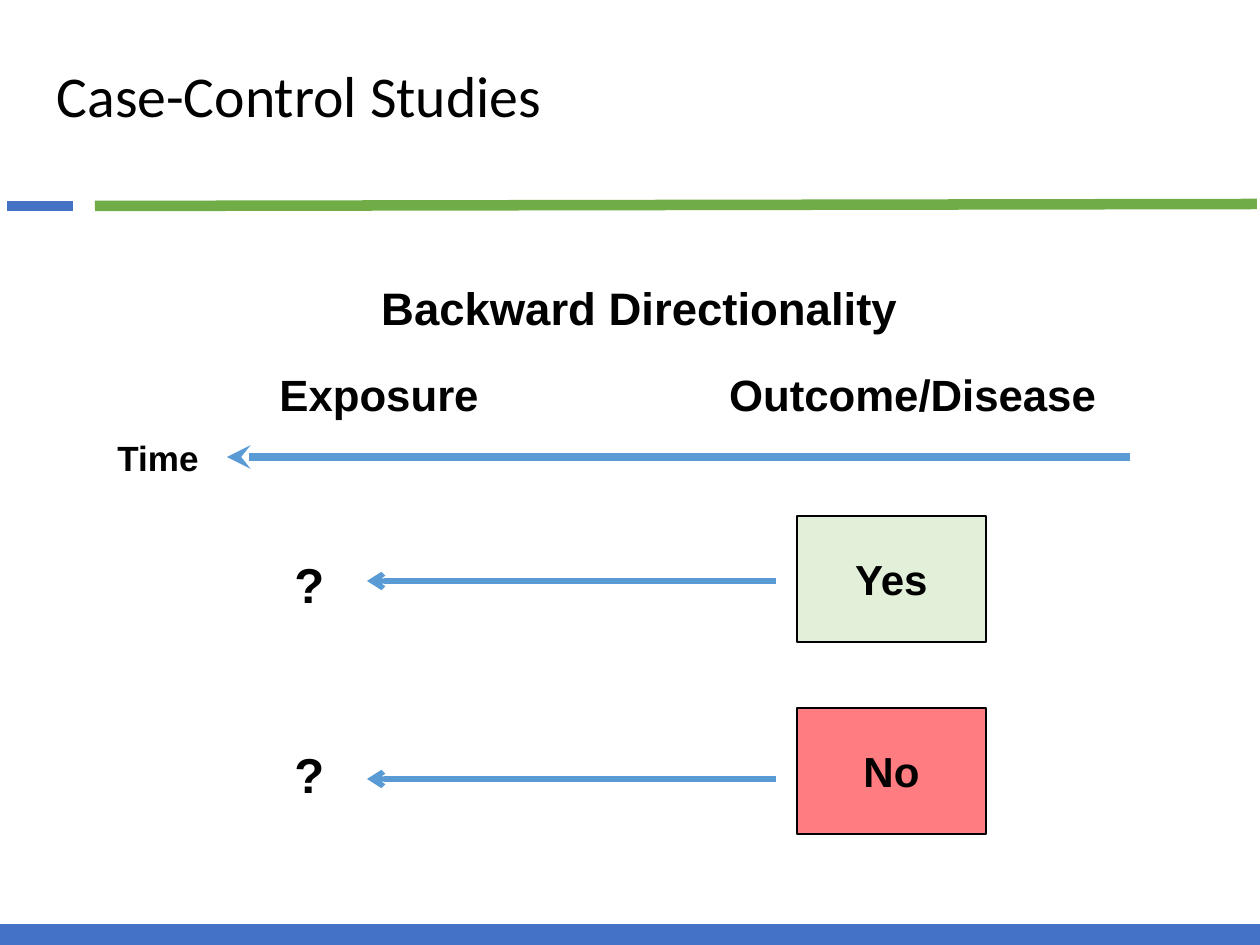
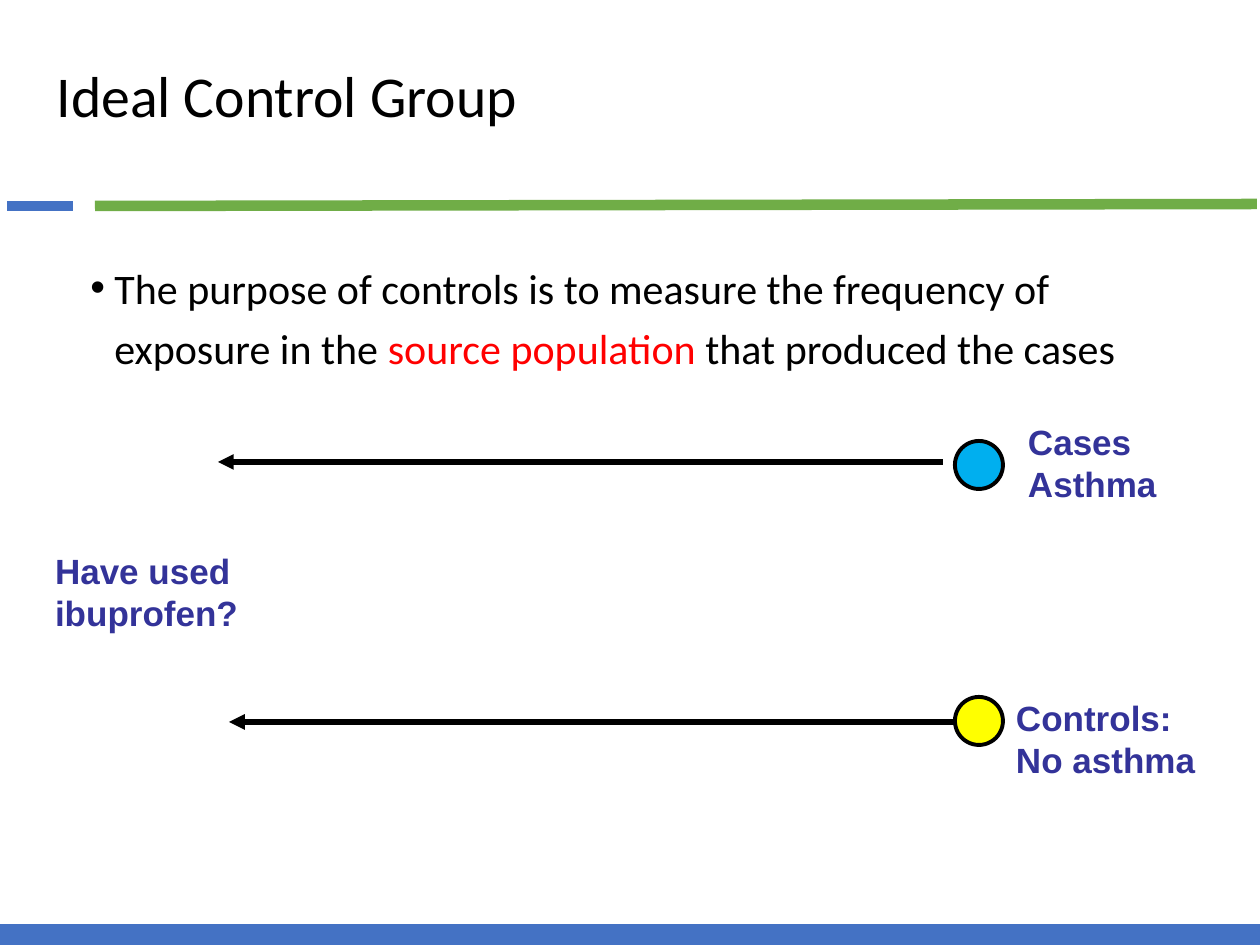
from lxml import etree
from pptx import Presentation
from pptx.dml.color import RGBColor
from pptx.enum.shapes import MSO_CONNECTOR, MSO_SHAPE
from pptx.enum.text import MSO_ANCHOR, MSO_AUTO_SIZE, PP_ALIGN
from pptx.oxml.ns import qn
from pptx.util import Pt

PX = 7257  # EMU in one px, 126 px to the inch
BLACK = RGBColor(0x00, 0x00, 0x00)
RED = RGBColor(0xFF, 0x00, 0x00)
GREEN = RGBColor(0x70, 0xAD, 0x47)
BLUE = RGBColor(0x44, 0x72, 0xC4)
ARROW_BLUE = RGBColor(0x5B, 0x9B, 0xD5)
LABEL_BLUE = RGBColor(0x33, 0x33, 0x99)
CASE_BLUE = RGBColor(0x00, 0xAF, 0xEF)
CONTROL_YELLOW = RGBColor(0xFF, 0xFF, 0x00)
YES_GREEN = RGBColor(0xE2, 0xF0, 0xD9)
NO_RED = RGBColor(0xFF, 0x7C, 0x80)
STRAIGHT = MSO_CONNECTOR.STRAIGHT
RECTANGLE, OVAL = MSO_SHAPE.RECTANGLE, MSO_SHAPE.OVAL
TOP, MIDDLE = MSO_ANCHOR.TOP, MSO_ANCHOR.MIDDLE
LEFT, CENTER = PP_ALIGN.LEFT, PP_ALIGN.CENTER
NO_AUTOFIT = MSO_AUTO_SIZE.NONE


def add_line(slide, ends, color, width, head=None):
    line = slide.shapes.add_connector(STRAIGHT, *[value * PX for value in ends])
    line.line.color.rgb = color
    line.line.width = Pt(width)
    properties = line._element.spPr
    if head:
        etree.SubElement(properties.find(qn("a:ln")), qn("a:tailEnd"), type=head)
    etree.SubElement(properties, qn("a:effectLst"))


def write_text(shape, paragraphs, size, color=BLACK, font="Arial", bold=True,
               align=LEFT, anchor=TOP, inset=None):
    """Each paragraph is a list of (text, color) runs; color None means the default."""
    frame = shape.text_frame
    frame.word_wrap = True
    frame.auto_size = NO_AUTOFIT
    frame.vertical_anchor = anchor
    if inset is not None:
        frame.margin_left = frame.margin_right = inset * PX
        frame.margin_top = frame.margin_bottom = inset * PX
    for index, runs in enumerate(paragraphs):
        paragraph = frame.add_paragraph() if index else frame.paragraphs[0]
        paragraph.alignment = align
        for text, run_color in runs:
            run = paragraph.add_run()
            run.text = text
            run.font.name = font
            run.font.size = Pt(size)
            run.font.bold = bold
            run.font.color.rgb = run_color or color


presentation = Presentation()
presentation.slide_width = 1260 * PX
presentation.slide_height = 945 * PX

# Shared title and coloured bands
slides = []
for title_text in ("Case-Control Studies", "Ideal Control Group"):
    slide = presentation.slides.add_slide(presentation.slide_layouts[5])
    add_line(slide, (1257, 204, 95, 206), GREEN, 6)
    add_line(slide, (73, 206, 7, 206), BLUE, 6)
    add_line(slide, (1260, 935, 0, 935), BLUE, 12)
    title = slide.shapes.title
    title.left, title.top, title.width, title.height = [
        value * PX for value in (44, 28, 1203, 141)]
    write_text(title, [[(title_text, None)]], 33, font="Calibri", bold=False,
               anchor=MIDDLE)
    title.text_frame.paragraphs[0].line_spacing = 0.9
    slides.append(slide)
directionality_slide, control_slide = slides

# Slide 1: headings and labels
for text, box, size, align, anchor in (
        ("Backward Directionality", (251, 265, 777, 84), 26, CENTER, MIDDLE),
        ("Exposure", (234, 362, 290, 66), 25, CENTER, TOP),
        ("Outcome/Disease", (692, 362, 441, 66), 25, CENTER, TOP),
        ("Time", (105, 430, 179, 54), 20, LEFT, TOP),
        ("?", (282, 548, 95, 72), 28, LEFT, TOP),
        ("?", (282, 738, 95, 72), 28, LEFT, TOP)):
    label = directionality_slide.shapes.add_textbox(*[value * PX for value in box])
    write_text(label, [[(text, None)]], size, align=align, anchor=anchor)

# Slide 1: time axis, then an outcome box and arrow in each row
add_line(directionality_slide, (1130, 457, 227, 457), ARROW_BLUE, 4.5, "stealth")
for answer, fill, box_top, arrow_y in (("Yes", YES_GREEN, 516, 581),
                                       ("No", NO_RED, 708, 779)):
    outcome = directionality_slide.shapes.add_shape(
        RECTANGLE, *[value * PX for value in (797, box_top, 189, 126)])
    outcome.shadow.inherit = False
    outcome.fill.solid()
    outcome.fill.fore_color.rgb = fill
    outcome.line.color.rgb = BLACK
    outcome.line.width = Pt(0.75)
    write_text(outcome, [[(answer, None)]], 24, align=CENTER, anchor=MIDDLE)
    add_line(directionality_slide, (776, arrow_y, 367, arrow_y), ARROW_BLUE, 3, "arrow")

# Slide 2: bulleted purpose
purpose = control_slide.shapes.add_textbox(*[value * PX for value in (78, 246, 1104, 644)])
write_text(purpose, [[
    ("The purpose of controls is to measure the frequency of exposure in the ", None),
    ("source population ", RED),
    ("that produced the cases", None)]], 24, font="Calibri", bold=False)
paragraph = purpose.text_frame.paragraphs[0]
paragraph.line_spacing = 1.2
paragraph.space_before = paragraph.space_after = Pt(12)
bullet_properties = paragraph._p.get_or_add_pPr()
bullet_properties.set("marL", str(24 * PX))
bullet_properties.set("indent", str(-24 * PX))
etree.SubElement(bullet_properties, qn("a:buFont"), typeface="Arial")
etree.SubElement(bullet_properties, qn("a:buChar"), char="•")

# Slide 2: group markers with arrows back to exposure
for fill, circle_top, arrow in ((CASE_BLUE, 441, (943, 462, 218, 462)),
                                (CONTROL_YELLOW, 697, (954, 722, 229, 722))):
    add_line(control_slide, arrow, BLACK, 3, "triangle")
    marker = control_slide.shapes.add_shape(
        OVAL, *[value * PX for value in (955, circle_top, 48, 48)])
    marker.shadow.inherit = False
    marker.fill.solid()
    marker.fill.fore_color.rgb = fill
    marker.line.color.rgb = BLACK
    marker.line.width = Pt(2.25)

# Slide 2: group and exposure labels
for lines, box in ((("Cases", "Asthma"), (1028, 420, 132, 84)),
                   (("Controls: No asthma",), (1016, 697, 184, 86)),
                   (("Have used ibuprofen?",), (55, 549, 218, 84))):
    label = control_slide.shapes.add_textbox(*[value * PX for value in box])
    write_text(label, [[(line, None)] for line in lines], 20, LABEL_BLUE, inset=0)

presentation.save("out.pptx")
